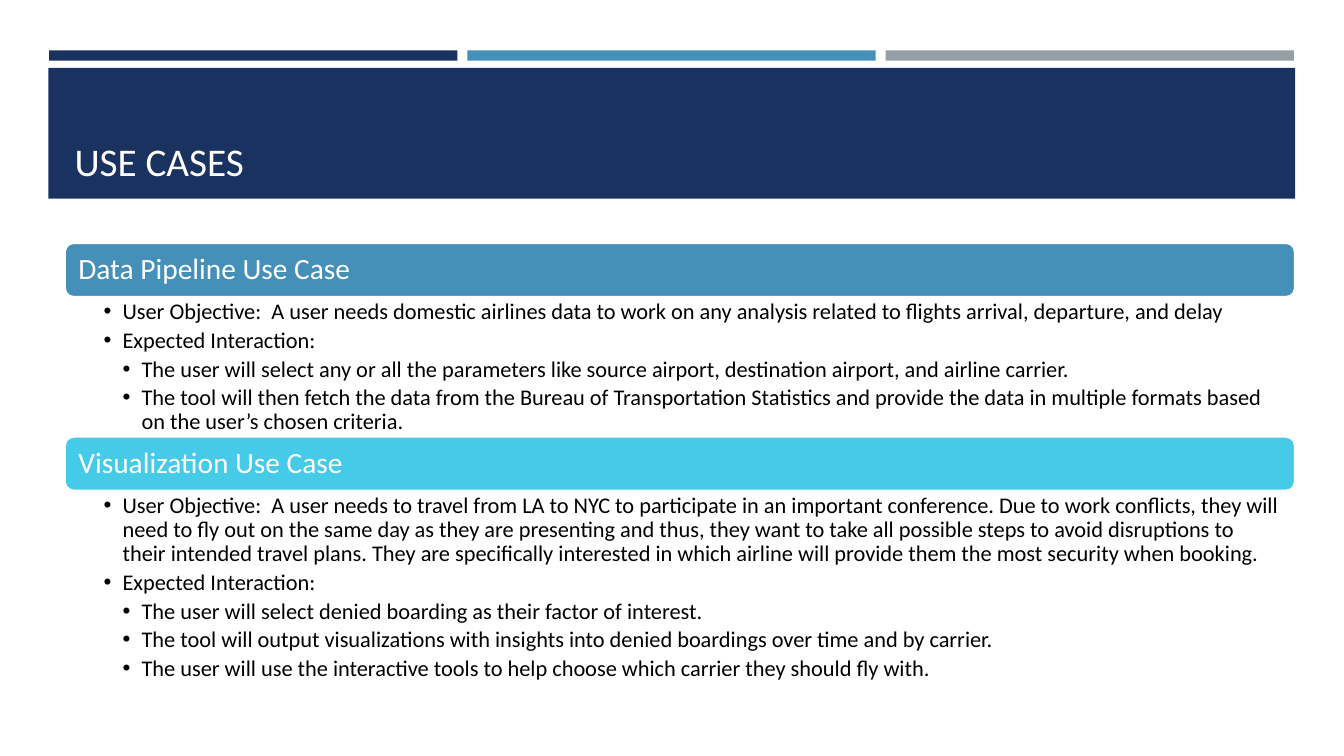
from dataclasses import dataclass

from lxml.etree import SubElement
from pptx import Presentation
from pptx.dml.color import RGBColor
from pptx.enum.shapes import MSO_SHAPE as Preset
from pptx.enum.text import MSO_ANCHOR as Anchor, PP_ALIGN as Align
from pptx.oxml.ns import qn
from pptx.shapes.autoshape import Shape
from pptx.slide import Slide
from pptx.util import Cm, Pt

COLORS = {
    "navy": "1A3260",
    "blue": "4590B8",
    "gray": "969FA7",
    "cyan": "45CBE8",
    "title": "FFFEFF",
    "white": "FFFFFF",
    "black": "000000",
}
FONT = "Calibri"
BAR_LEFT, BAR_WIDTH, BAR_PITCH = 1.24, 10.29, 10.54
CARD_LEFT, CARD_WIDTH, CARDS_TOP = 1.63, 31.01, 6.12
HEADER_HEIGHT = 1.37
INDENT = 0.48


@dataclass(frozen=True)
class Box:
    left: float
    top: float
    width: float
    height: float

    def lengths(self) -> tuple[Cm, Cm, Cm, Cm]:
        return Cm(self.left), Cm(self.top), Cm(self.width), Cm(self.height)


@dataclass(frozen=True)
class Bullet:
    level: int
    text: str


@dataclass(frozen=True)
class UseCase:
    heading: str
    color: str
    body_height: float
    bullets: tuple[Bullet, ...]


USE_CASES = (
    UseCase("Data Pipeline Use Case", "blue", 3.51, (
        Bullet(1, "User Objective:\u00a0 A user needs domestic airlines data to work on any "
                  "analysis related to flights arrival, departure, and delay"),
        Bullet(1, "Expected Interaction:"),
        Bullet(2, "The user will select any or all the parameters like source airport, "
                  "destination airport, and airline carrier."),
        Bullet(2, "The tool will then fetch the data from the Bureau of Transportation "
                  "Statistics and provide the data in multiple formats based on the "
                  "user’s chosen criteria."),
    )),
    UseCase("Visualization Use Case", "cyan", 4.83, (
        Bullet(1, "User Objective: \u00a0A user needs to travel from LA to NYC to participate "
                  "in an important conference. Due to work conflicts, they will need to fly "
                  "out on the same day as they are presenting and thus, they want to take all "
                  "possible steps to avoid disruptions to their intended travel plans. They "
                  "are specifically interested in which airline will provide them the most "
                  "security when booking."),
        Bullet(1, "Expected Interaction:"),
        Bullet(2, "The user will select denied boarding as their factor of interest."),
        Bullet(2, "The tool will output visualizations with insights into denied boardings "
                  "over time and by carrier."),
        Bullet(2, "The user will use the interactive tools to help choose which carrier "
                  "they should fly with."),
    )),
)


def rgb(name: str) -> RGBColor:
    return RGBColor.from_string(COLORS[name])


def add_block(slide: Slide, preset: Preset, box: Box, color: str) -> Shape:
    shape = slide.shapes.add_shape(preset, *box.lengths())
    shape.shadow.inherit = False
    shape.fill.solid()
    shape.fill.fore_color.rgb = rgb(color)
    shape.line.fill.background()
    return shape


def write(shape: Shape, lines: list[str], size: float, color: str, anchor: Anchor,
          margins: tuple[float, float, float, float]) -> None:
    frame = shape.text_frame
    frame.word_wrap = True
    frame.vertical_anchor = anchor
    frame.margin_left, frame.margin_top, frame.margin_right, frame.margin_bottom = map(Cm, margins)
    frame.text = "\n".join(lines)
    for paragraph in frame.paragraphs:
        paragraph.alignment = Align.LEFT
        paragraph.line_spacing = 0.9
        for run in paragraph.runs:
            run.font.name = FONT
            run.font.size = Pt(size)
            run.font.color.rgb = rgb(color)


def add_bullets(slide: Slide, box: Box, bullets: tuple[Bullet, ...]) -> None:
    text_box = slide.shapes.add_textbox(*box.lengths())
    write(text_box, [bullet.text for bullet in bullets], 16, "black", Anchor.TOP,
          (0.98, 0.08, 0.4, 0.08))
    for paragraph, bullet in zip(text_box.text_frame.paragraphs, bullets):
        paragraph.level = bullet.level
        paragraph.space_after = Pt(3.2)
        properties = paragraph._p.get_or_add_pPr()
        properties.set("marL", str(Cm(INDENT * bullet.level)))
        properties.set("indent", str(-Cm(INDENT)))
        SubElement(properties, qn("a:buFont")).set("typeface", "Arial")
        SubElement(properties, qn("a:buChar")).set("char", "•")


def add_use_case(slide: Slide, use_case: UseCase, top: float) -> float:
    header = add_block(slide, Preset.ROUNDED_RECTANGLE,
                       Box(CARD_LEFT, top, CARD_WIDTH, HEADER_HEIGHT), use_case.color)
    header.line.color.rgb = rgb("white")
    header.line.width = Pt(1.75)
    write(header, [use_case.heading], 21, "white", Anchor.MIDDLE, (0.28, 0.23, 0.28, 0.23))
    body_top = top + HEADER_HEIGHT
    add_bullets(slide, Box(CARD_LEFT, body_top, CARD_WIDTH, use_case.body_height),
                use_case.bullets)
    return body_top + use_case.body_height


presentation = Presentation()
presentation.slide_width = Cm(33.87)
presentation.slide_height = Cm(19.05)
slide = presentation.slides.add_slide(presentation.slide_layouts[6])

for index, color in enumerate(("navy", "blue", "gray")):
    add_block(slide, Preset.RECTANGLE,
              Box(BAR_LEFT + index * BAR_PITCH, 1.27, BAR_WIDTH, 0.26), color)

add_block(slide, Preset.RECTANGLE, Box(1.22, 1.71, 31.42, 3.3), "navy")
title = slide.shapes.add_textbox(*Box(1.63, 1.96, 30.63, 2.82).lengths())
write(title, ["USE CASES"], 28, "title", Anchor.BOTTOM, (0.25, 0.13, 0.25, 0.13))

card_top = CARDS_TOP
for use_case in USE_CASES:
    card_top = add_use_case(slide, use_case, card_top)

presentation.save("out.pptx")
